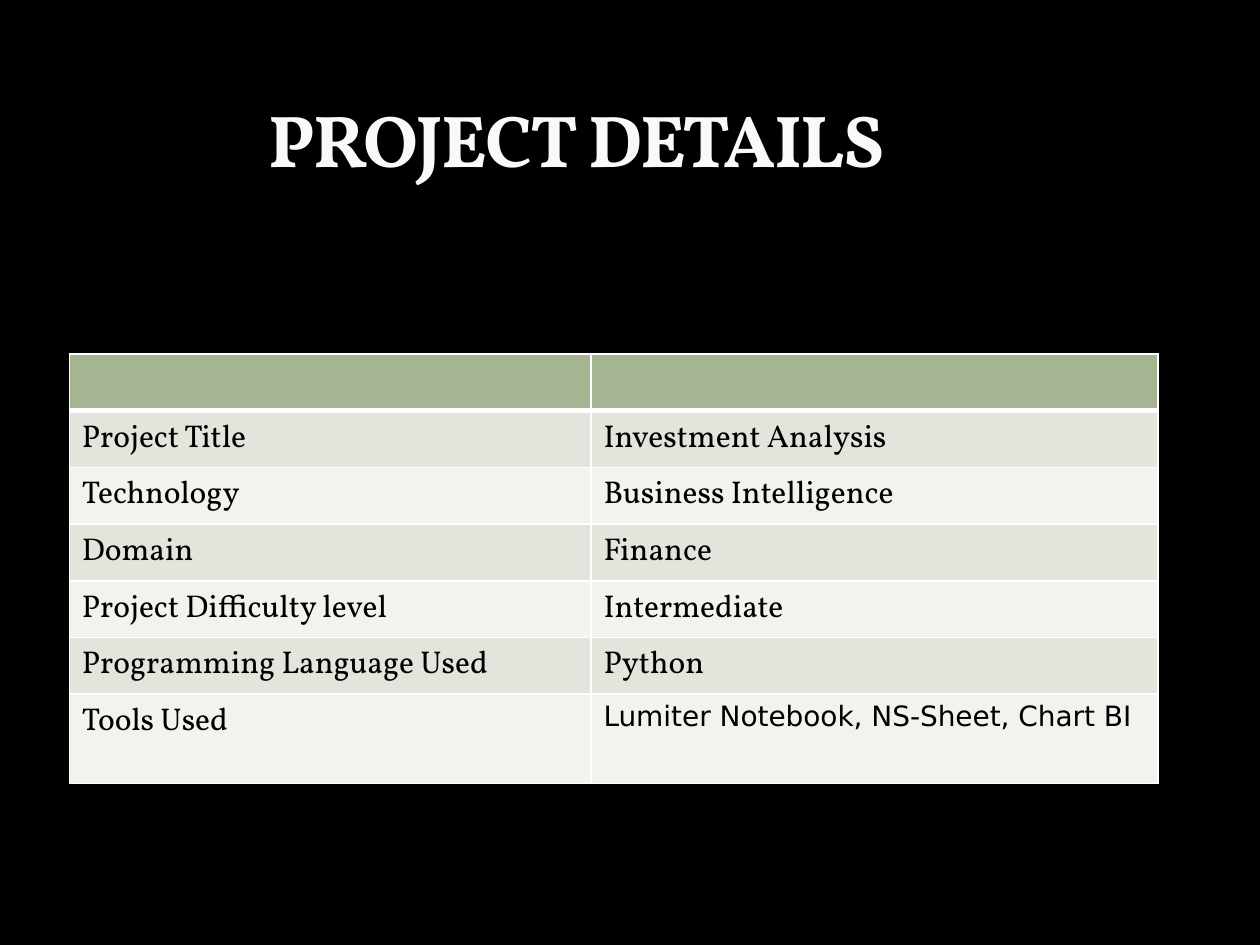
import pptx
import pptx.util
import pptx.dml.color
import pptx.enum.text
import pptx.oxml
import pptx.oxml.ns
import lxml.etree

Inches = pptx.util.Inches
Pt = pptx.util.Pt
qn = pptx.oxml.ns.qn
HUES = {
    "back": "000000", "title": "F9F9F9", "edge": "3C4422", "text": "000000",
    "head": "A5B592", "odd": "E1E5DC", "even": "F0F3EE", "rule": "FFFFFF",
}
ROWS = [
    ("", ""),
    ("Project Title", "Investment Analysis"),
    ("Technology", "Business Intelligence"),
    ("Domain", "Finance"),
    ("Project Difficulty level", "Intermediate"),
    ("Programming Language Used", "Python"),
    ("Tools Used", "Lumiter Notebook, NS-Sheet, Chart BI"),
]


def paint(fill, hue):
    fill.solid()
    fill.fore_color.rgb = pptx.dml.color.RGBColor.from_string(HUES[hue])


def stroke(node, tag, hue, width, alpha=100):
    line = lxml.etree.SubElement(node, qn(tag), w=str(Pt(width)))
    fill = lxml.etree.SubElement(line, qn("a:solidFill"))
    tint = lxml.etree.SubElement(fill, qn("a:srgbClr"), val=HUES[hue])
    if alpha < 100:
        lxml.etree.SubElement(tint, qn("a:alpha"), val=str(alpha * 1000))
    return line


def write(frame, text, font="Vollkorn", size=18, hue="text", bold=False, space=0):
    para = frame.paragraphs[0]
    para.alignment = pptx.enum.text.PP_ALIGN.LEFT
    run = para.add_run()
    run.text = text
    run.font.name = font
    run.font.size = Pt(size)
    run.font.bold = bold
    paint(run.font.fill, hue)
    if space:
        run.font._element.set("spc", str(int(space * 100)))
    return run


class Deck:
    def __init__(self):
        self.show = pptx.Presentation()
        self.show.slide_width = Inches(10)
        self.show.slide_height = Inches(7.5)
        self.slide = self.show.slides.add_slide(self.show.slide_layouts[5])
        paint(self.slide.background.fill, "back")

    def title(self, text, left, top, width, height):
        shape = self.slide.shapes.title
        shape.left, shape.top = Inches(left), Inches(top)
        shape.width, shape.height = Inches(width), Inches(height)
        frame = shape.text_frame
        frame.vertical_anchor = pptx.enum.text.MSO_ANCHOR.BOTTOM
        frame.auto_size = pptx.enum.text.MSO_AUTO_SIZE.NONE
        run = write(frame, text, size=42, hue="title", bold=True, space=-1)
        props = run.font._element
        props.insert(0, stroke(props, "a:ln", "edge", 0.25, alpha=25))

    def table(self, rows, left, top, widths, heights):
        shape = self.slide.shapes.add_table(
            len(rows), len(widths), Inches(left), Inches(top),
            Inches(sum(widths)), Inches(sum(heights)))
        grid = shape.table
        for col, width in zip(grid.columns, widths):
            col.width = Inches(width)
        for row, height in zip(grid.rows, heights):
            row.height = Inches(height)
        last = (len(rows) - 1, len(widths) - 1)
        for i, row in enumerate(rows):
            hue = "head" if i == 0 else "odd" if i % 2 else "even"
            for j, text in enumerate(row):
                cell = grid.cell(i, j)
                if text:
                    style = {"font": "DejaVu Sans", "size": 16} if (i, j) == last else {}
                    write(cell.text_frame, text, **style)
                self.border(cell, 3 if i == 1 else 1, 3 if i == 0 else 1)
                paint(cell.fill, hue)

    def border(self, cell, top, base):
        props = cell._tc.get_or_add_tcPr()
        for side, width in (("L", 1), ("R", 1), ("T", top), ("B", base)):
            stroke(props, "a:ln" + side, "rule", width)


def main():
    deck = Deck()
    deck.title("PROJECT DETAILS", 2.03, 0.17, 7.47, 1.33)
    deck.table(ROWS, 0.55, 2.81, [4.14, 4.5], [0.45] * 6 + [0.71])
    deck.show.save("out.pptx")


if __name__ == "__main__":
    main()
